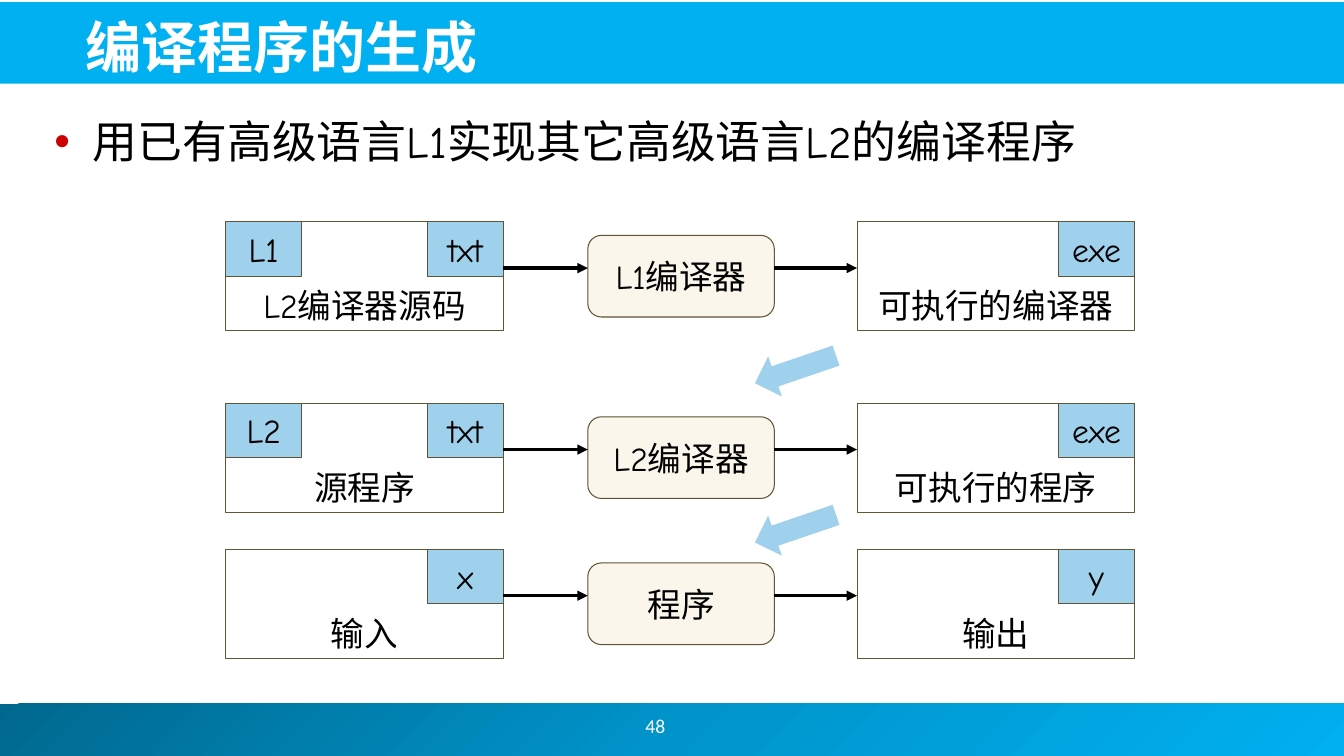
from copy import deepcopy
from dataclasses import dataclass

from lxml.etree import SubElement
from pptx import Presentation
from pptx.dml.color import RGBColor
from pptx.enum.shapes import MSO_CONNECTOR, MSO_SHAPE as SHAPE
from pptx.enum.text import MSO_ANCHOR as ANCHOR, MSO_AUTO_SIZE, PP_ALIGN as ALIGN
from pptx.oxml.ns import qn
from pptx.util import Inches, Pt


@dataclass(frozen=True)
class Theme:
    accent: str = "00B0F0"
    footer: tuple = ("00688E", "0094CA", "00B0F0")
    bullet: str = "CC0000"
    tag: str = "9FD0EC"
    tool: str = "FAF6EB"
    outline: str = "605435"
    ink: str = "000000"
    white: str = "FFFFFF"
    font: str = "Comic Neue"
    cjk: str = "Noto Sans CJK JP"
    number_font: str = "Calibri"
    title_size: int = 40
    body_size: int = 32
    label_size: int = 24
    number_size: int = 14


class SlideBuilder:
    def __init__(self, slide, theme):
        self.slide = slide
        self.shapes = slide.shapes
        self.theme = theme

    def place(self, sp, box):
        for name, value in zip(("left", "top", "width", "height"), box):
            setattr(sp, name, Inches(value))

    def set_text(self, sp, text, size, color=None, font=None, bold=False,
                 align=ALIGN.CENTER, anchor=ANCHOR.MIDDLE, wrap=False):
        tf = sp.text_frame
        frame_format = {"auto_size": MSO_AUTO_SIZE.NONE,
                        "word_wrap": wrap, "vertical_anchor": anchor}
        for name, value in frame_format.items():
            setattr(tf, name, value)
        p = tf.paragraphs[0]
        p.alignment = align
        r = p.add_run()
        r.text = text
        run_format = {"size": Pt(size), "bold": bold,
                      "name": font or self.theme.font}
        for name, value in run_format.items():
            setattr(r.font, name, value)
        r.font.color.rgb = RGBColor.from_string(color or self.theme.ink)
        SubElement(r._r.get_or_add_rPr(), qn("a:ea"), typeface=self.theme.cjk)
        return p

    def placeholder(self, sp, box, text, size, **style):
        self.place(sp, box)
        # Bring the placeholder in front of the bars
        sp.element.getparent().append(sp.element)
        return self.set_text(sp, text, size, align=ALIGN.LEFT, wrap=True, **style)

    def title(self, text, box):
        self.placeholder(self.shapes.title, box, text, self.theme.title_size,
                         color=self.theme.white, font=self.theme.cjk,
                         bold=True, anchor=ANCHOR.BOTTOM)

    def body(self, text, box):
        p = self.placeholder(self.slide.placeholders[1], box, text,
                             self.theme.body_size, anchor=ANCHOR.TOP)
        pPr = p._p.get_or_add_pPr()
        pPr.set("marL", str(Inches(0.38)))
        pPr.set("indent", str(-Inches(0.38)))
        color = SubElement(pPr, qn("a:buClr"))
        SubElement(color, qn("a:srgbClr"), val=self.theme.bullet)
        SubElement(pPr, qn("a:buFont"), typeface="Arial")
        SubElement(pPr, qn("a:buChar"), char="•")

    def shape(self, kind, box, fill=None, line=None, parent=None):
        sp = (parent or self.shapes).add_shape(kind, *map(Inches, box))
        sp.shadow.inherit = False
        if fill:
            sp.fill.solid()
            sp.fill.fore_color.rgb = RGBColor.from_string(fill)
        else:
            sp.fill.background()
        if line:
            sp.line.color.rgb = RGBColor.from_string(line)
            sp.line.width = Pt(0.75)
        else:
            sp.line.fill.background()
        return sp

    def gradient_bar(self, box, colors):
        sp = self.shape(SHAPE.RECTANGLE, box)
        sp.fill.gradient()
        sp.fill.gradient_angle = 315
        stops = sp.element.find(".//" + qn("a:gsLst"))
        stops.insert(1, deepcopy(stops[0]))
        for i, (stop, color) in enumerate(zip(sp.fill.gradient_stops, colors)):
            stop.position = i / (len(colors) - 1)
            stop.color.rgb = RGBColor.from_string(color)

    def label(self, kind, box, text, fill=None, parent=None, anchor=ANCHOR.MIDDLE):
        sp = self.shape(kind, box, fill, self.theme.outline, parent)
        self.set_text(sp, text, self.theme.label_size, anchor=anchor)

    def file_card(self, left, top, text, right_tag, left_tag=None):
        group = self.shapes.add_group_shape().shapes
        self.label(SHAPE.RECTANGLE, (left, top, CARD_W, CARD_H), text,
                   parent=group, anchor=ANCHOR.BOTTOM)
        for tag, x in ((left_tag, left), (right_tag, left + CARD_W - TAG_W)):
            if tag:
                self.label(SHAPE.RECTANGLE, (x, top, TAG_W, CARD_H / 2), tag,
                           self.theme.tag, group)

    def flow(self, x1, x2, y):
        arrow = self.shapes.add_connector(
            MSO_CONNECTOR.STRAIGHT, *map(Inches, (x1, y, x2, y)))
        arrow.line.color.rgb = RGBColor.from_string(self.theme.ink)
        arrow.line.width = Pt(2.5)
        spPr = arrow.element.spPr
        SubElement(spPr.find(qn("a:ln")), qn("a:tailEnd"), type="triangle")
        SubElement(spPr, qn("a:effectLst"))

    def block_arrow(self, top):
        sp = self.shape(SHAPE.DOWN_ARROW, (7.68, top, 0.42, 0.85), self.theme.tag)
        sp.rotation = 71.2

    def page_number(self, text, box):
        sp = self.shapes.add_textbox(*map(Inches, box))
        self.set_text(sp, text, self.theme.number_size, color=self.theme.white,
                      font=self.theme.number_font, wrap=True)


# Diagram grid
CARD_W, CARD_H, TAG_W = 2.75, 1.08, 0.75
SOURCE_X, TOOL_X, RESULT_X = 2.24, 5.83, 8.5
TOOL_W, TOOL_H = 1.85, 0.81

# Row top, source (text, right tag, left tag), tool, result (text, tag)
ROWS = [
    (2.2, ("L2编译器源码", "txt", "L1"), "L1编译器", ("可执行的编译器", "exe")),
    (4.0, ("源程序", "txt", "L2"), "L2编译器", ("可执行的程序", "exe")),
    (5.45, ("输入", "x"), "程序", ("输出", "y")),
]


def main():
    prs = Presentation()
    prs.slide_width, prs.slide_height = Inches(13.33), Inches(7.5)
    theme = Theme()
    s = SlideBuilder(prs.slides.add_slide(prs.slide_layouts[1]), theme)

    # Bars, heading and page number
    s.gradient_bar((-0.05, 6.98, 13.39, 0.52), theme.footer)
    s.shape(SHAPE.RECTANGLE, (-0.02, 0.02, 13.36, 0.81), theme.accent)
    s.body("用已有高级语言L1实现其它高级语言L2的编译程序", (0.44, 1.08, 12.44, 5.44))
    s.page_number("48", (5.2, 6.95, 2.6, 0.5))
    s.title("编译程序的生成", (0.75, 0.05, 12.14, 0.79))

    # Source, tool and result in each row
    for top, source, tool, result in ROWS:
        s.file_card(SOURCE_X, top, *source)
        s.label(SHAPE.ROUNDED_RECTANGLE,
                (TOOL_X, top + (CARD_H - TOOL_H) / 2, TOOL_W, TOOL_H),
                tool, theme.tool)
        s.file_card(RESULT_X, top, *result)
        s.flow(SOURCE_X + CARD_W, TOOL_X, top + 0.46)
        s.flow(TOOL_X + TOOL_W, RESULT_X, top + 0.46)

    # Each result becomes the tool of the next row
    for top in (3.24, 4.82):
        s.block_arrow(top)

    prs.save("out.pptx")


if __name__ == "__main__":
    main()
